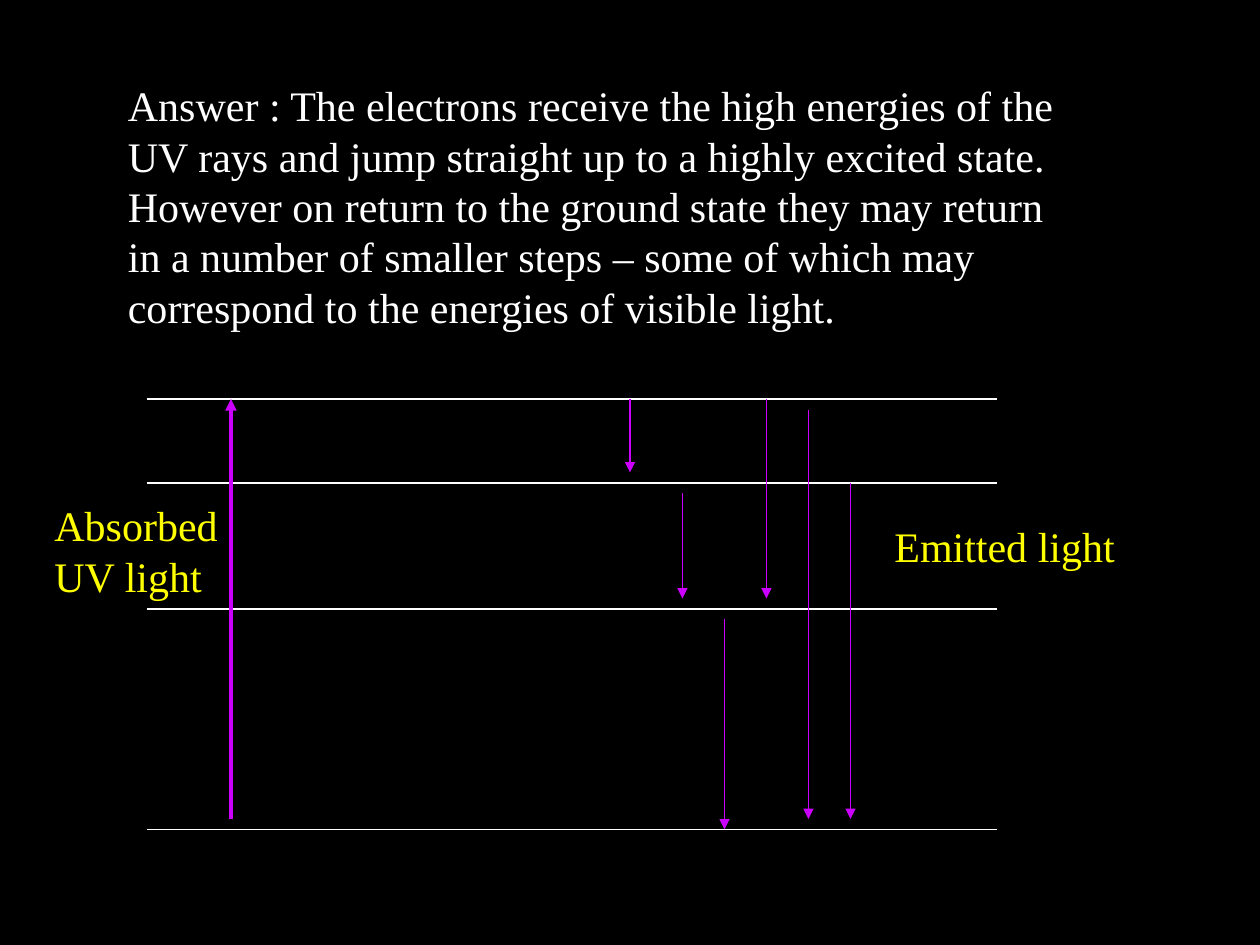
from dataclasses import dataclass

from lxml.etree import SubElement
from pptx import Presentation
from pptx.dml.color import RGBColor
from pptx.enum.shapes import MSO_CONNECTOR as Connector
from pptx.enum.text import MSO_AUTO_SIZE as AutoSize
from pptx.oxml.ns import qn
from pptx.util import Emu, Pt

EMU_PER_PX = 7620  # 120 px to the inch


@dataclass(frozen=True)
class Theme:
    background: str = "000000"
    text: str = "FFFFFF"
    label: str = "FFFF00"
    level: str = "FFFFFF"
    transition: str = "CC00FF"
    font: str = "Times New Roman"
    text_size: float = 24
    thin: float = 0.75
    thick: float = 2.25


def px(length):
    return Emu(length * EMU_PER_PX)


def set_attributes(target, values):
    for name, value in values.items():
        setattr(target, name, value)


class SlideBuilder:
    def __init__(self, slide, theme):
        self.slide = slide
        self.theme = theme
        fill = slide.background.fill
        fill.solid()
        fill.fore_color.rgb = RGBColor.from_string(theme.background)

    def text(self, words, box, color):
        shape = self.slide.shapes.add_textbox(*map(px, box))
        frame = shape.text_frame
        set_attributes(frame, {"word_wrap": True, "auto_size": AutoSize.SHAPE_TO_FIT_TEXT})
        paragraph = frame.paragraphs[0]
        run = paragraph.add_run()
        run.text = words
        set_attributes(run.font, {"name": self.theme.font, "size": Pt(self.theme.text_size)})
        run.font.color.rgb = RGBColor.from_string(color)

    def line(self, start, end, color, width):
        connector = self.slide.shapes.add_connector(
            Connector.STRAIGHT, *map(px, (*start, *end)))
        connector.line.width = Pt(width)
        connector.line.color.rgb = RGBColor.from_string(color)
        SubElement(connector._element.spPr, qn("a:effectLst"))
        return connector

    def level(self, y, left, right):
        self.line((left, y), (right, y), self.theme.level, self.theme.thin)

    def transition(self, x, start, end, width):
        """Draw a vertical arrow from one energy to another."""
        connector = self.line((x, start), (x, end), self.theme.transition, width)
        SubElement(connector.line._get_or_add_ln(), qn("a:tailEnd"), type="triangle")


ANSWER = (
    "Answer : The electrons receive the high energies of the UV rays and jump "
    "straight up to a highly excited state. However on return to the ground state "
    "they may return in a number of smaller steps – some of which may correspond "
    "to the energies of visible light."
)
LEVELS = (380, 460, 580, 790)
ABSORPTION = (220, 780, 380)
EMISSIONS = (  # x, start y, end y
    (600, 380, 450),
    (650, 470, 570),
    (690, 590, 790),
    (730, 380, 570),
    (770, 390, 780),
    (810, 460, 780),
)


def main():
    presentation = Presentation()
    set_attributes(presentation, {"slide_width": px(1200), "slide_height": px(900)})
    theme = Theme()
    blank_layout = presentation.slide_layouts[6]
    builder = SlideBuilder(presentation.slides.add_slide(blank_layout), theme)

    builder.text(ANSWER, (110, 70, 930, 252), theme.text)
    for y in LEVELS:
        builder.level(y, 140, 950)
    builder.transition(*ABSORPTION, theme.thick)
    for emission in EMISSIONS:
        builder.transition(*emission, theme.thin)
    builder.text("Absorbed UV light", (40, 470, 190, 108), theme.label)
    builder.text("Emitted light", (840, 490, 270, 60), theme.label)

    presentation.save("out.pptx")


if __name__ == "__main__":
    main()
